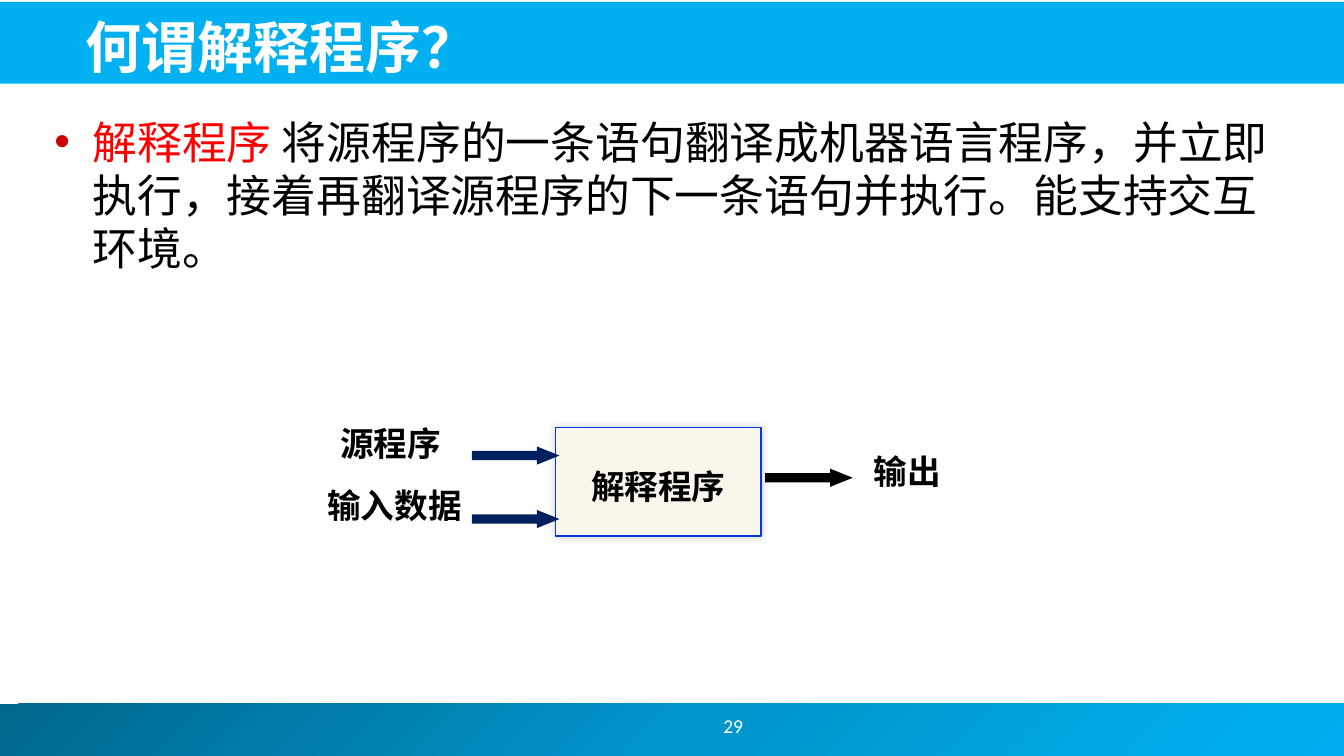
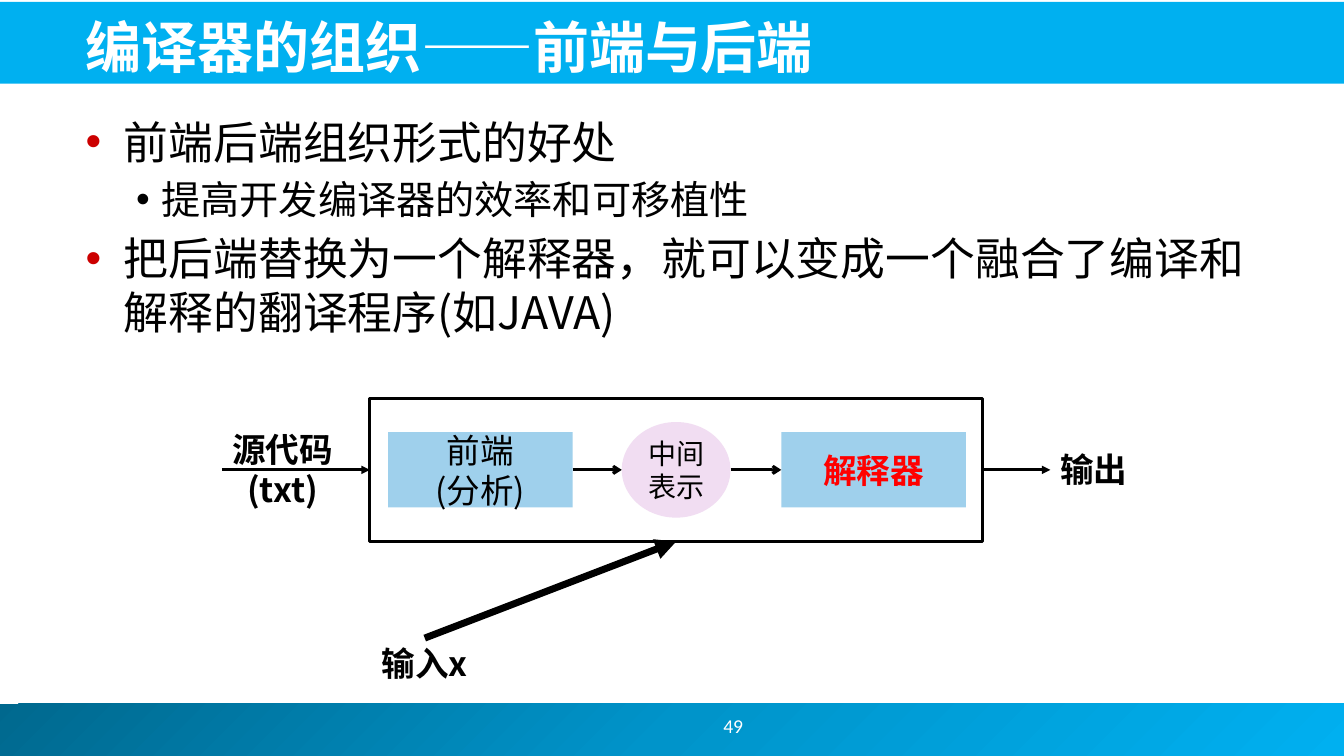
from pptx import Presentation
from pptx.dml.color import RGBColor
from pptx.enum.shapes import MSO_CONNECTOR, MSO_SHAPE
from pptx.enum.text import MSO_ANCHOR, PP_ALIGN
from pptx.oxml.ns import qn
from pptx.util import Cm, Pt
from lxml import etree
from copy import deepcopy

RECTANGLE, OVAL, BLOCK_ARROW = MSO_SHAPE.RECTANGLE, MSO_SHAPE.OVAL, MSO_SHAPE.RIGHT_ARROW
STRAIGHT = MSO_CONNECTOR.STRAIGHT
LEFT_ALIGN, CENTER = PP_ALIGN.LEFT, PP_ALIGN.CENTER
TOP_ANCHOR, MIDDLE_ANCHOR = MSO_ANCHOR.TOP, MSO_ANCHOR.MIDDLE
TOP, LEFT, BOTTOM, RIGHT = range(4)

TEXT_FONT, NUMBER_FONT = "Noto Sans CJK JP", "Calibri"
BLACK, WHITE, RED = "000000", "FFFFFF", "FF0000"
BAND, BULLET, NAVY = "00B0F0", "CC0000", "002060"
CREAM, BLUE_EDGE = "FAF6EB", "0037E8"
PALE_BLUE, PALE_PINK = "9FD0EC", "F1DDF2"
FOOTER_STOPS = [(0, "00688E"), (0.5, "0094CA"), (1, BAND)]
LINE_FACTOR = 1.19
BODY_TOP = 2.77


def rgb(value):
    return RGBColor.from_string(value)


# Text
def add_text(shape, text, *, size=24, color=BLACK, bold=False, font=TEXT_FONT,
             align=CENTER, spacing=None, before=0, bullet=None, indent=(0, 0)):
    """Add one paragraph; text is a string or a list of (string, colour) runs."""
    frame = shape.text_frame
    paragraph = frame.paragraphs[0]
    if paragraph.runs:
        paragraph = frame.add_paragraph()
    if bullet:
        properties = paragraph._p.get_or_add_pPr()
        properties.set("marL", str(Cm(indent[0])))
        properties.set("indent", str(Cm(indent[1])))
        bullet_color = etree.SubElement(properties, qn("a:buClr"))
        etree.SubElement(bullet_color, qn("a:srgbClr"), val=bullet)
        etree.SubElement(properties, qn("a:buFont"), typeface="Arial")
        etree.SubElement(properties, qn("a:buChar"), char="•")
    paragraph.alignment = align
    paragraph.line_spacing = spacing or Pt(round(size * LINE_FACTOR, 1))
    if before:
        paragraph.space_before = Pt(before)
    for words, run_color in [(text, color)] if isinstance(text, str) else text:
        run = paragraph.add_run()
        run.text = words
        run.font.size, run.font.bold = Pt(size), bold
        run.font.color.rgb = rgb(run_color)
        run.font.name = font
        etree.SubElement(run._r.get_or_add_rPr(), qn("a:ea"), typeface=font)


def add_box(slide, left, top, width, height, anchor=TOP_ANCHOR, wrap=True):
    box = slide.shapes.add_textbox(Cm(left), Cm(top), Cm(width), Cm(height))
    box.text_frame.word_wrap = wrap
    box.text_frame.vertical_anchor = anchor
    return box


def add_label(slide, text, *place):
    box = add_box(slide, *place, anchor=MIDDLE_ANCHOR, wrap=False)
    box.text_frame.margin_left = box.text_frame.margin_right = 0
    add_text(box, text, bold=True)


def add_bullet(box, text, level=0, before=6.4):
    size, color, indent = [(32, BULLET, (0.96, -0.96)), (28, BLACK, (1.91, -0.64))][level]
    add_text(box, text, size=size, align=LEFT_ALIGN, before=before,
             bullet=color, indent=indent)


# Shapes and connectors
def add_shape(slide, kind, left, top, width, height, fill=None, line=None, line_width=1):
    shape = slide.shapes.add_shape(kind, Cm(left), Cm(top), Cm(width), Cm(height))
    shape.shadow.inherit = False
    if fill:
        shape.fill.solid()
        shape.fill.fore_color.rgb = rgb(fill)
    else:
        shape.fill.background()
    if line:
        shape.line.color.rgb = rgb(line)
        shape.line.width = Pt(line_width)
    else:
        shape.line.fill.background()
    shape.text_frame.vertical_anchor = MIDDLE_ANCHOR
    return shape


def add_block_arrow(slide, left, top, fill):
    arrow = add_shape(slide, BLOCK_ARROW, left, top, 2.21, 0.46, fill)
    arrow.adjustments[1] = 1.24


def add_soft_shadow(shape):
    effects = shape._element.spPr.find(qn("a:effectLst"))
    shadow = etree.SubElement(effects, qn("a:outerShdw"), blurRad=str(Pt(6)),
                              dist="0", dir="13500000", algn="ctr", rotWithShape="0")
    color = etree.SubElement(shadow, qn("a:srgbClr"), val=BLACK)
    etree.SubElement(color, qn("a:alpha"), val="20000")


def side_point(shape, side):
    x = {LEFT: shape.left, RIGHT: shape.left + shape.width}
    y = {TOP: shape.top, BOTTOM: shape.top + shape.height}
    return (x.get(side, shape.left + shape.width // 2),
            y.get(side, shape.top + shape.height // 2))


def connect(slide, begin, end, width=2, head="triangle", join_begin=True, join_end=True):
    """Draw an arrow between two (shape, side) pairs."""
    connector = slide.shapes.add_connector(STRAIGHT, *side_point(*begin), *side_point(*end))
    if join_begin:
        connector.begin_connect(*begin)
    if join_end:
        connector.end_connect(*end)
    connector.line.color.rgb = rgb(BLACK)
    connector.line.width = Pt(width)
    etree.SubElement(connector.line._get_or_add_ln(), qn("a:tailEnd"), type=head)
    etree.SubElement(connector._element.spPr, qn("a:effectLst"))


# Shared frame of every slide
def add_slide(presentation, title, number):
    slide = presentation.slides.add_slide(presentation.slide_layouts[6])
    footer = add_shape(slide, RECTANGLE, -0.13, 17.73, 34.01, 1.32)
    footer.fill.gradient()
    footer.fill.gradient_angle = 315
    stop_list = footer._element.spPr.find(".//" + qn("a:gsLst"))
    stop_list.insert(1, deepcopy(stop_list[0]))
    for stop, (position, color) in zip(footer.fill.gradient_stops, FOOTER_STOPS):
        stop.position = position
        stop.color.rgb = rgb(color)
    add_shape(slide, RECTANGLE, -0.05, 0.05, 33.93, 2.06, BAND)

    title_box = add_box(slide, 1.91, 0.15, 30.84, 2, MIDDLE_ANCHOR)
    title_box.text_frame.margin_top = title_box.text_frame.margin_bottom = 0
    add_text(title_box, title, size=40, color=WHITE, bold=True, align=LEFT_ALIGN, spacing=1.0)
    number_box = add_box(slide, 14.81, 17.65, 7.34, 1.27, MIDDLE_ANCHOR)
    add_text(number_box, number, size=14, color=WHITE, font=NUMBER_FONT)
    return slide


def build_interpreter_slide(presentation):
    slide = add_slide(presentation, "何谓解释程序？", "29")
    body = add_box(slide, 1.12, BODY_TOP, 31.6, 13.7)
    add_bullet(body, [("解释程序 ", RED),
                      ("将源程序的一条语句翻译成机器语言程序，并立即执行，"
                       "接着再翻译源程序的下一条语句并执行。能支持交互环境。", BLACK)], before=0)

    # Interpreter with two inputs and one output
    interpreter = add_shape(slide, RECTANGLE, 14, 10.77, 5.18, 2.74, CREAM, BLUE_EDGE)
    add_soft_shadow(interpreter)
    add_text(interpreter, "解释程序", bold=True, spacing=1.2)
    add_label(slide, "源程序", 8, 10.41, 3.68, 1.5)
    add_label(slide, "输入数据", 8.05, 11.68, 3.78, 2.08)
    add_label(slide, "输出", 20.98, 10.74, 3.78, 2.29)
    for left, top, color in [(11.89, 11.25, NAVY), (11.89, 12.85, NAVY), (19.28, 11.81, BLACK)]:
        add_block_arrow(slide, left, top, color)


def build_front_back_slide(presentation):
    slide = add_slide(presentation, "编译器的组织——前端与后端", "49")
    body = add_box(slide, 1.91, BODY_TOP, 30.48, 6.35)
    add_bullet(body, "前端后端组织形式的好处", before=0)
    add_bullet(body, "提高开发编译器的效率和可移植性", level=1, before=5.6)
    add_bullet(body, "把后端替换为一个解释器，就可以变成一个融合了编译和解释的翻译程序(如JAVA)")

    middle = 11.84

    def centered(left, width, height):
        return left, middle - height / 2, width, height

    # Outer frame and its surroundings
    source = add_box(slide, *centered(5.59, 3.07, 2.31), wrap=False)
    for line in ("源代码", "(txt)"):
        add_text(source, line, bold=True)
    frame = add_shape(slide, RECTANGLE, *centered(9.32, 15.44, 3.61), line=BLACK, line_width=2)
    output = add_box(slide, *centered(26.47, 2.24, 1.27), wrap=False)
    add_text(output, "输出", bold=True, align=LEFT_ALIGN)
    program_input = add_box(slide, 9.37, 16.08, 2.67, 1.27)
    add_text(program_input, "输入x", bold=True, align=LEFT_ALIGN)

    # Stages inside the frame
    front_end, interpreter = [
        add_shape(slide, RECTANGLE, *centered(left, 4.65, 1.9), fill=PALE_BLUE)
        for left in (9.78, 19.69)]
    for line in ("前端", "(分析)"):
        add_text(front_end, line)
    add_text(interpreter, "解释器", color=RED, bold=True)
    intermediate = add_shape(slide, OVAL, *centered(15.67, 2.74, 2.41), fill=PALE_PINK)
    intermediate.text_frame.margin_left = intermediate.text_frame.margin_right = Cm(0.2)
    add_text(intermediate, "中间表示", size=20)

    # Arrows
    connect(slide, (source, LEFT), (frame, LEFT))
    connect(slide, (frame, RIGHT), (output, LEFT))
    connect(slide, (front_end, RIGHT), (intermediate, LEFT), head="arrow", join_end=False)
    connect(slide, (intermediate, RIGHT), (interpreter, LEFT), head="arrow", join_begin=False)
    connect(slide, (program_input, TOP), (frame, BOTTOM), width=5)


def main():
    presentation = Presentation()
    presentation.slide_width, presentation.slide_height = Cm(33.87), Cm(19.05)
    build_interpreter_slide(presentation)
    build_front_back_slide(presentation)
    presentation.save("out.pptx")


if __name__ == "__main__":
    main()
